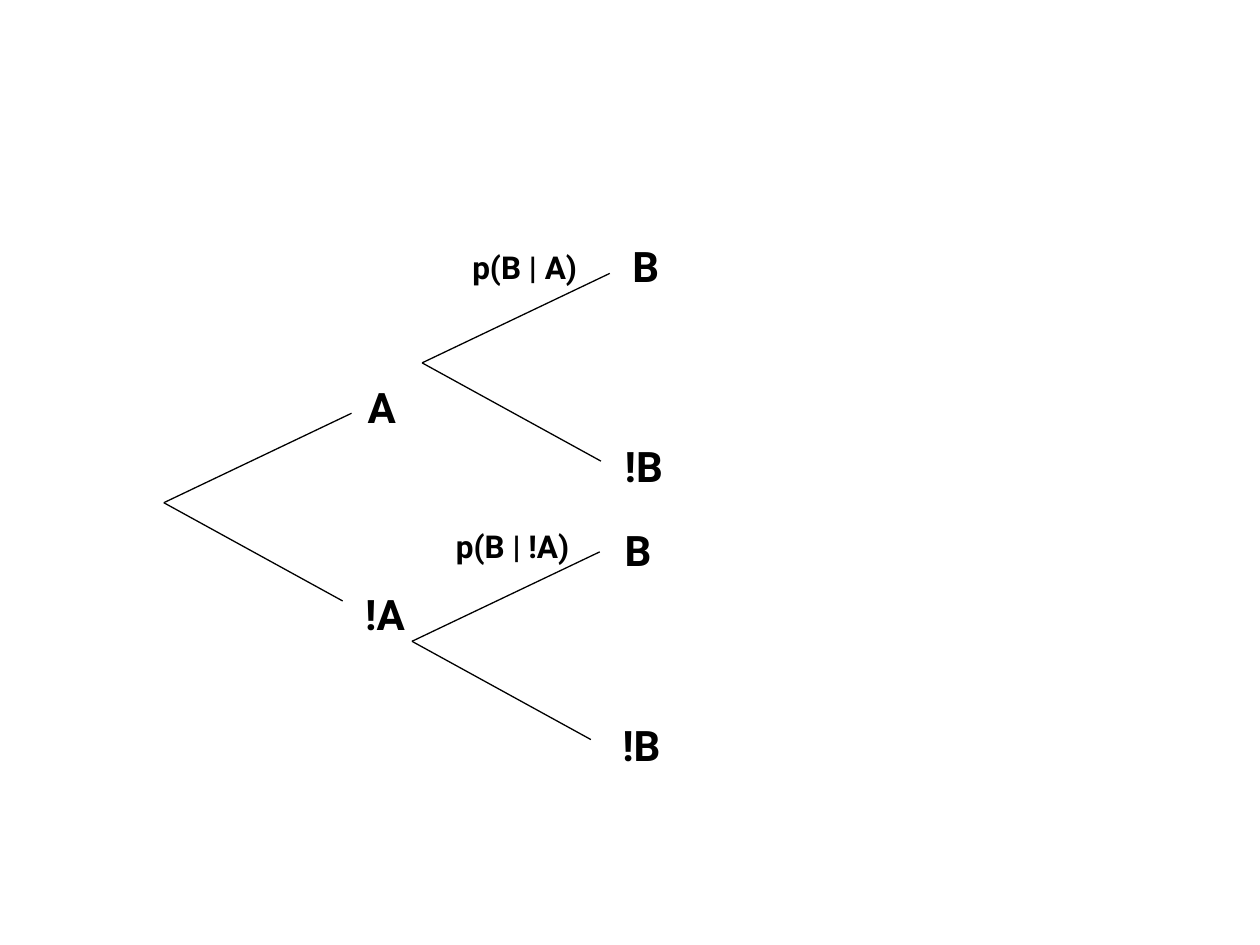
from dataclasses import dataclass

from lxml import etree
from pptx import Presentation
from pptx.dml.color import RGBColor
from pptx.enum.shapes import MSO_CONNECTOR
from pptx.enum.text import MSO_AUTO_SIZE
from pptx.oxml.ns import qn
from pptx.util import Inches, Pt

STRAIGHT = MSO_CONNECTOR.STRAIGHT
GROW = MSO_AUTO_SIZE.SHAPE_TO_FIT_TEXT
BLACK = "000000"
FONT = "Roboto"
UPPER_BRANCH = (1.49, -0.71)
LOWER_BRANCH = (1.42, 0.78)


@dataclass(frozen=True)
class Fork:
    """The point where two branches start, in inches."""
    x: float
    y: float


@dataclass(frozen=True)
class Label:
    """An event or a probability, with its box in inches."""
    wording: str
    left: float
    top: float
    width: float
    height: float = 0.5
    size: int = 24


FORKS = [Fork(1.3, 3.99), Fork(3.35, 2.88), Fork(3.27, 5.09)]

LABELS = [
    Label("A", 2.82, 2.98, 0.47),
    Label("B", 4.92, 1.86, 0.42),
    Label("B", 4.86, 4.11, 0.42),
    Label("!A", 2.8, 4.62, 0.57),
    Label("!B", 4.86, 3.45, 0.52),
    Label("!B", 4.84, 5.66, 0.52),
    Label("p(B | A)", 3.65, 1.92, 1.07, 0.4, 18),
    Label("p(B | !A)", 3.52, 4.13, 1.14, 0.4, 18),
]


def rgb(value: str) -> RGBColor:
    """Turn a hex string into a colour."""
    return RGBColor.from_string(value)


def draw_fork(slide, fork: Fork) -> None:
    """Draw the two grouped branches of a fork."""
    pair = slide.shapes.add_group_shape()
    for dx, dy in (UPPER_BRANCH, LOWER_BRANCH):
        branch = pair.shapes.add_connector(
            STRAIGHT, Inches(fork.x), Inches(fork.y),
            Inches(fork.x + dx), Inches(fork.y + dy))
        branch.line.color.rgb = rgb(BLACK)
        branch.line.width = Pt(0.75)
        etree.SubElement(branch._element.spPr, qn("a:effectLst"))


def draw_label(slide, label: Label) -> None:
    """Write a bold label in an unwrapped text box."""
    box = slide.shapes.add_textbox(
        Inches(label.left), Inches(label.top),
        Inches(label.width), Inches(label.height))
    frame = box.text_frame
    frame.word_wrap = False
    frame.auto_size = GROW
    frame.text = label.wording
    font = frame.paragraphs[0].runs[0].font
    font.name = FONT
    font.size = Pt(label.size)
    font.bold = True
    font.color.rgb = rgb(BLACK)


def main() -> None:
    """Build the probability tree and save it."""
    deck = Presentation()
    deck.slide_width, deck.slide_height = Inches(10), Inches(7.5)
    slide = deck.slides.add_slide(deck.slide_layouts[6])
    for fork in FORKS:
        draw_fork(slide, fork)
    for label in LABELS:
        draw_label(slide, label)
    deck.save("out.pptx")


main()
